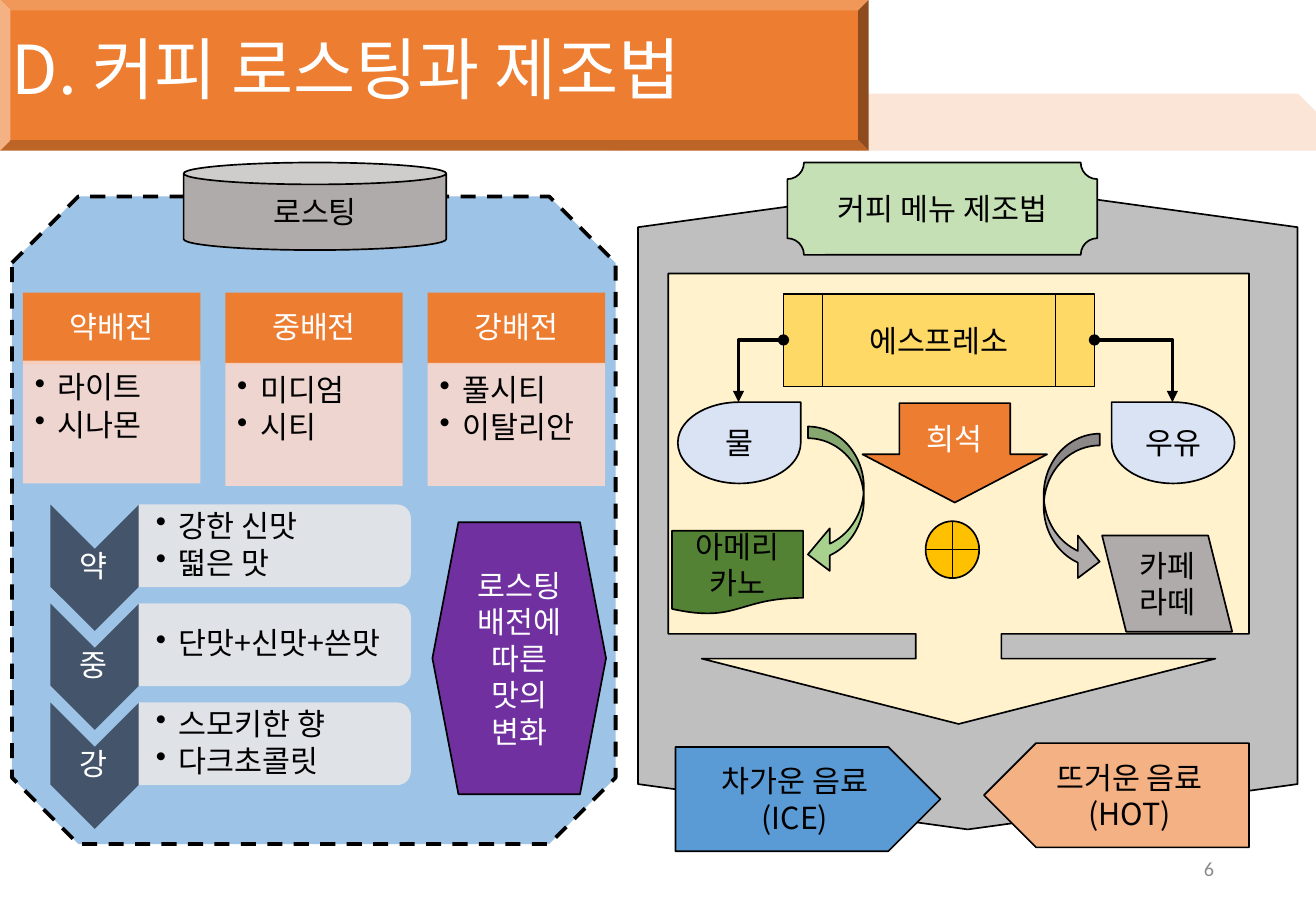
from dataclasses import dataclass

from lxml import etree
from pptx import Presentation
from pptx.dml.color import RGBColor
from pptx.enum.dml import MSO_LINE
from pptx.enum.shapes import MSO_CONNECTOR, MSO_SHAPE
from pptx.enum.text import MSO_ANCHOR, MSO_AUTO_SIZE, PP_ALIGN
from pptx.oxml.ns import qn
from pptx.util import Cm, Pt

LEFT, CENTER, RIGHT = PP_ALIGN.LEFT, PP_ALIGN.CENTER, PP_ALIGN.RIGHT
TOP, MIDDLE = MSO_ANCHOR.TOP, MSO_ANCHOR.MIDDLE
DASH, ELBOW = MSO_LINE.DASH, MSO_CONNECTOR.ELBOW
RECT, CHEVRON, BAR = MSO_SHAPE.RECTANGLE, MSO_SHAPE.CHEVRON, MSO_SHAPE.ROUND_2_SAME_RECTANGLE
BEVEL, SNIP, OCTAGON, CAN = MSO_SHAPE.BEVEL, MSO_SHAPE.SNIP_1_RECTANGLE, MSO_SHAPE.OCTAGON, MSO_SHAPE.CAN
HEXAGON, PLAQUE, TEARDROP = MSO_SHAPE.HEXAGON, MSO_SHAPE.PLAQUE, MSO_SHAPE.TEAR
CALLOUT, PROCESS = MSO_SHAPE.DOWN_ARROW_CALLOUT, MSO_SHAPE.FLOWCHART_PREDEFINED_PROCESS
CURVED_ARROW, DOWN_ARROW = MSO_SHAPE.CURVED_LEFT_ARROW, MSO_SHAPE.DOWN_ARROW
DOCUMENT, OR_SIGN = MSO_SHAPE.FLOWCHART_DOCUMENT, MSO_SHAPE.FLOWCHART_OR
PARALLELOGRAM, HOME_PLATE = MSO_SHAPE.PARALLELOGRAM, MSO_SHAPE.PENTAGON


@dataclass(frozen=True)
class Theme:
    font: str = "Noto Sans CJK KR"
    number_font: str = "Calibri"
    title_size: float = 40
    body_size: float = 18
    number_size: float = 12
    white: str = "FFFFFF"
    black: str = "000000"
    number: str = "8C8C8C"
    orange: str = "ED7D31"
    pale_orange: str = "FBE5D6"
    peach: str = "F4B183"
    card: str = "F8D7CE"
    light_blue: str = "9DC3E6"
    blue: str = "5B9BD5"
    pale_blue: str = "DAE3F3"
    navy: str = "44546A"
    pale_gray: str = "E7E6E6"
    silver: str = "BFBFBF"
    gray: str = "AFABAB"
    purple: str = "7030A0"
    mint: str = "C5E0B4"
    green: str = "A9D18E"
    dark_green: str = "548235"
    cream: str = "FFF2CC"
    yellow: str = "FFD966"
    gold: str = "FFC000"


THEME = Theme()


@dataclass(frozen=True)
class TextStyle:
    color: str = THEME.black
    size: float = THEME.body_size
    font: str = THEME.font
    align: PP_ALIGN = CENTER
    anchor: MSO_ANCHOR = MIDDLE
    line_spacing: float = 1.0
    insets: tuple = (0.25, 0.13, 0.25, 0.13)
    bullet: bool = False


@dataclass(frozen=True)
class Part:
    kind: MSO_SHAPE
    frame: tuple  # left, top, width, height in cm
    fill: str
    text: str = ""
    style: TextStyle = TextStyle()
    adjustments: tuple = ()
    line_width: float = 1
    dashed: bool = False
    rotation: float = 0
    flipped: bool = False
    opacity: int = 100


@dataclass(frozen=True)
class RoastCard:
    name: str
    kinds: str
    body_top: float


@dataclass(frozen=True)
class RoastTaste:
    level: str
    tastes: str


BLACK = TextStyle()
WHITE = TextStyle(color=THEME.white)
TITLE = TextStyle(THEME.white, THEME.title_size, align=LEFT, line_spacing=0.9)
NUMBER = TextStyle(THEME.number, THEME.number_size, THEME.number_font, RIGHT)
CARD_HEAD = TextStyle(THEME.white, line_spacing=0.9, insets=(0.36, 0.2, 0.36, 0.2))
CARD_LIST = TextStyle(align=LEFT, anchor=TOP, line_spacing=0.9,
                      insets=(0.25, 0.25, 0.36, 0.41), bullet=True)
LEVEL = TextStyle(THEME.white, line_spacing=0.9, insets=(0.03,) * 4)
TASTE_LIST = TextStyle(align=LEFT, line_spacing=0.9,
                       insets=(0.36, 0.03, 0.03, 0.03), bullet=True)

BANNER = [
    Part(SNIP, (12.75, 1.96, 14.78, 1.19), THEME.pale_orange, adjustments=(0.33,), line_width=0),
    Part(BEVEL, (0, 0, 18.16, 3.15), THEME.orange, adjustments=(0.07,), line_width=0),
]
CARDS = [
    RoastCard("약배전", "라이트\n시나몬", 7.54),
    RoastCard("중배전", "미디엄\n시티", 7.59),
    RoastCard("강배전", "풀시티\n이탈리안", 7.59),
]
TASTES = [
    RoastTaste("약", "강한 신맛\n떫은 맛"),
    RoastTaste("중", "단맛+신맛+쓴맛"),
    RoastTaste("강", "스모키한 향\n다크초콜릿"),
]
ROASTING = [
    Part(OCTAGON, (0.25, 4.11, 12.62, 13.54), THEME.light_blue, adjustments=(0.11,),
         line_width=2.25, dashed=True),
    Part(CAN, (3.84, 3.4, 5.49, 1.83), THEME.gray, "로스팅"),
    Part(HEXAGON, (9.04, 10.92, 3.63, 5.69), THEME.purple, "로스팅 배전에 따른\n맛의\v변화",
         WHITE, (0.15,)),
]
ARROW_BENDS = (0.21, 0.76, 0.39)
MENU = [
    Part(HEXAGON, (13.46, 3.68, 13.54, 13.79), THEME.silver, adjustments=(0.07,), rotation=90),
    Part(PLAQUE, (16.46, 3.4, 6.48, 1.93), THEME.mint, "커피 메뉴 제조법", adjustments=(0.18,)),
    Part(CALLOUT, (13.97, 5.72, 12.14, 9.42), THEME.cream, adjustments=(0.19, 0.57, 0.145, 0.8)),
    Part(PROCESS, (16.38, 6.15, 6.5, 1.93), THEME.yellow, "에스프레소"),
    Part(TEARDROP, (14.17, 8.41, 2.57, 1.7), THEME.pale_blue, "물"),
    Part(CURVED_ARROW, (16.89, 8.92, 1.17, 3.12), THEME.green, adjustments=ARROW_BENDS),
    Part(DOCUMENT, (14.05, 11.1, 2.74, 1.75), THEME.dark_green, "아메리카노"),
    Part(TEARDROP, (23.24, 8.41, 2.57, 1.7), THEME.pale_blue, "우유", flipped=True),
    Part(CURVED_ARROW, (21.82, 9.07, 1.17, 3.12), THEME.gray, adjustments=ARROW_BENDS, flipped=True),
    Part(DOWN_ARROW, (18.03, 8.43, 3.86, 2.08), THEME.orange, "희석", WHITE, (0.6, 0.485)),
    Part(OR_SIGN, (19.35, 10.9, 1.12, 1.19), THEME.gold),
    Part(PARALLELOGRAM, (23.04, 11.2, 2.72, 2.01), THEME.gray, "카페 라떼", flipped=True),
    Part(HOME_PLATE, (14.12, 15.62, 5.54, 2.18), THEME.blue, "차가운 음료\n(ICE)"),
    Part(HOME_PLATE, (20.57, 15.54, 5.54, 2.18), THEME.peach, "뜨거운 음료\n(HOT)", flipped=True),
]
POURS = [(16.38, 7.11, 15.44, 8.41), (22.88, 7.11, 24.51, 8.41)]


def lengths(values: tuple) -> list:
    return [Cm(value) for value in values]


def write_text(shape, text: str, style: TextStyle) -> None:
    frame = shape.text_frame
    frame.text = text
    frame.word_wrap = True
    frame.auto_size = MSO_AUTO_SIZE.NONE
    frame.vertical_anchor = style.anchor
    (frame.margin_left, frame.margin_top,
     frame.margin_right, frame.margin_bottom) = lengths(style.insets)
    for para in frame.paragraphs:
        para.alignment = style.align
        para.line_spacing = style.line_spacing
        if style.bullet:
            para.space_after = Pt(2.7)
            properties = para._p.get_or_add_pPr()
            properties.set("marL", str(Cm(0.48)))
            properties.set("indent", str(-Cm(0.48)))
            etree.SubElement(properties, qn("a:buChar")).set("char", "•")
        for span in para.runs:
            span.font.size = Pt(style.size)
            span.font.name = style.font
            span.font.color.rgb = RGBColor.from_string(style.color)
            etree.SubElement(span._r.get_or_add_rPr(), qn("a:ea")).set("typeface", style.font)


def draw_part(shapes, part: Part) -> None:
    shape = shapes.add_shape(part.kind, *lengths(part.frame))
    shape.shadow.inherit = False
    shape.rotation = part.rotation
    for index, value in enumerate(part.adjustments):
        shape.adjustments[index] = value
    shape.fill.solid()
    shape.fill.fore_color.rgb = RGBColor.from_string(part.fill)
    properties = shape._element.spPr
    if part.opacity < 100:
        color = properties.find(".//" + qn("a:srgbClr"))
        etree.SubElement(color, qn("a:alpha")).set("val", str(part.opacity * 1000))
    if part.flipped:
        properties.find(qn("a:xfrm")).set("flipH", "1")
    if part.line_width:
        shape.line.color.rgb = RGBColor.from_string(THEME.black)
        shape.line.width = Pt(part.line_width)
        if part.dashed:
            shape.line.dash_style = DASH
    else:
        shape.line.fill.background()
    if part.text:
        write_text(shape, part.text, part.style)


def draw_text(shapes, frame: tuple, text: str, style: TextStyle) -> None:
    write_text(shapes.add_textbox(*lengths(frame)), text, style)


def draw_pour(shapes, ends: tuple) -> None:
    connector = shapes.add_connector(ELBOW, *lengths(ends))
    connector.line.color.rgb = RGBColor.from_string(THEME.black)
    connector.line.width = Pt(2.25)
    properties = connector._element.spPr
    properties.find(qn("a:prstGeom")).set("prst", "bentConnector2")
    outline = properties.find(qn("a:ln"))
    for tag, kind in (("a:headEnd", "oval"), ("a:tailEnd", "triangle")):
        etree.SubElement(outline, qn(tag)).set("type", kind)
    etree.SubElement(properties, qn("a:effectLst"))


def draw_card(shapes, column: int, card: RoastCard) -> None:
    left = 0.48 + 4.23 * column
    draw_part(shapes, Part(RECT, (left, 6.12, 3.71, 1.5), THEME.orange, card.name, CARD_HEAD,
                           line_width=0))
    draw_part(shapes, Part(RECT, (left, card.body_top, 3.71, 2.57), THEME.card, card.kinds,
                           CARD_LIST, line_width=0, opacity=90))


def draw_taste(shapes, row: int, taste: RoastTaste) -> None:
    drop = 2.07 * row
    draw_part(shapes, Part(CHEVRON, (0.66, 10.95 + drop, 2.64, 1.85), THEME.navy,
                           line_width=0, rotation=90))
    draw_text(shapes, (1.04, 11.48 + drop, 1.85, 0.79), taste.level, LEVEL)
    draw_part(shapes, Part(BAR, (4.88, 8.57 + drop, 1.73, 5.69), THEME.pale_gray,
                           line_width=0, rotation=90, opacity=90))
    draw_text(shapes, (2.9, 10.64 + drop, 5.59, 1.55), taste.tastes, TASTE_LIST)


def main() -> None:
    deck = Presentation()
    deck.slide_width, deck.slide_height = Cm(27.51), Cm(19.05)
    page = deck.slides.add_slide(deck.slide_layouts[5])

    # Banner, title and page number
    for part in BANNER:
        draw_part(page.shapes, part)
    title = page.shapes.title
    title.left, title.top, title.width, title.height = lengths((0, -0.05, 18.16, 3.12))
    write_text(title, "D. 커피 로스팅과 제조법", TITLE)
    page.shapes._spTree.append(title._element)
    draw_text(page.shapes, (19.43, 17.65, 6.2, 1.02), "6", NUMBER)

    # Roasting panel
    roasting = page.shapes.add_group_shape().shapes
    for part in ROASTING:
        draw_part(roasting, part)
    for column, card in enumerate(CARDS):
        draw_card(roasting, column, card)
    for row, taste in enumerate(TASTES):
        draw_taste(roasting, row, taste)

    # Menu panel
    menu = page.shapes.add_group_shape().shapes
    for part in MENU:
        draw_part(menu, part)
    for ends in POURS:
        draw_pour(menu, ends)

    deck.save("out.pptx")


if __name__ == "__main__":
    main()
